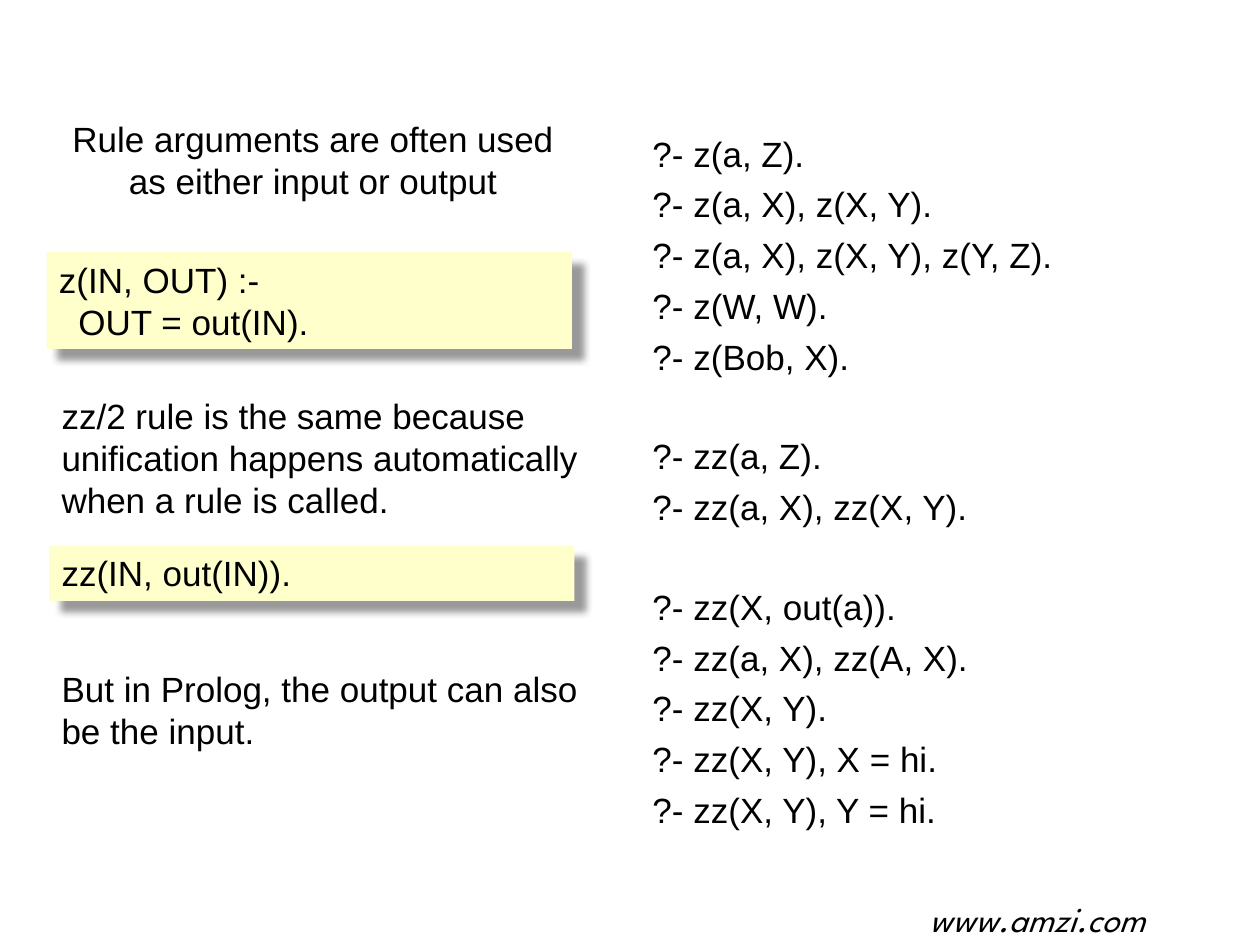
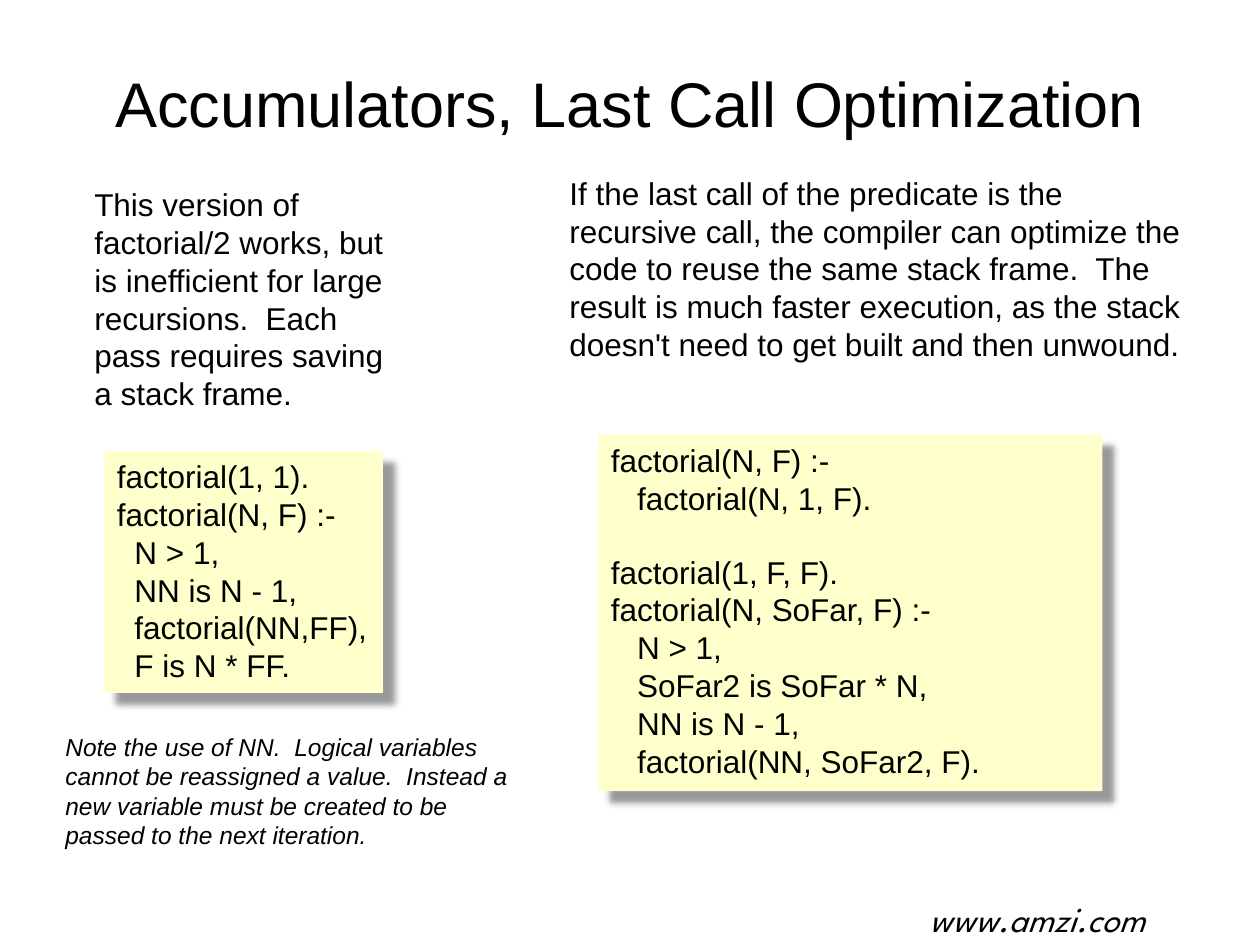
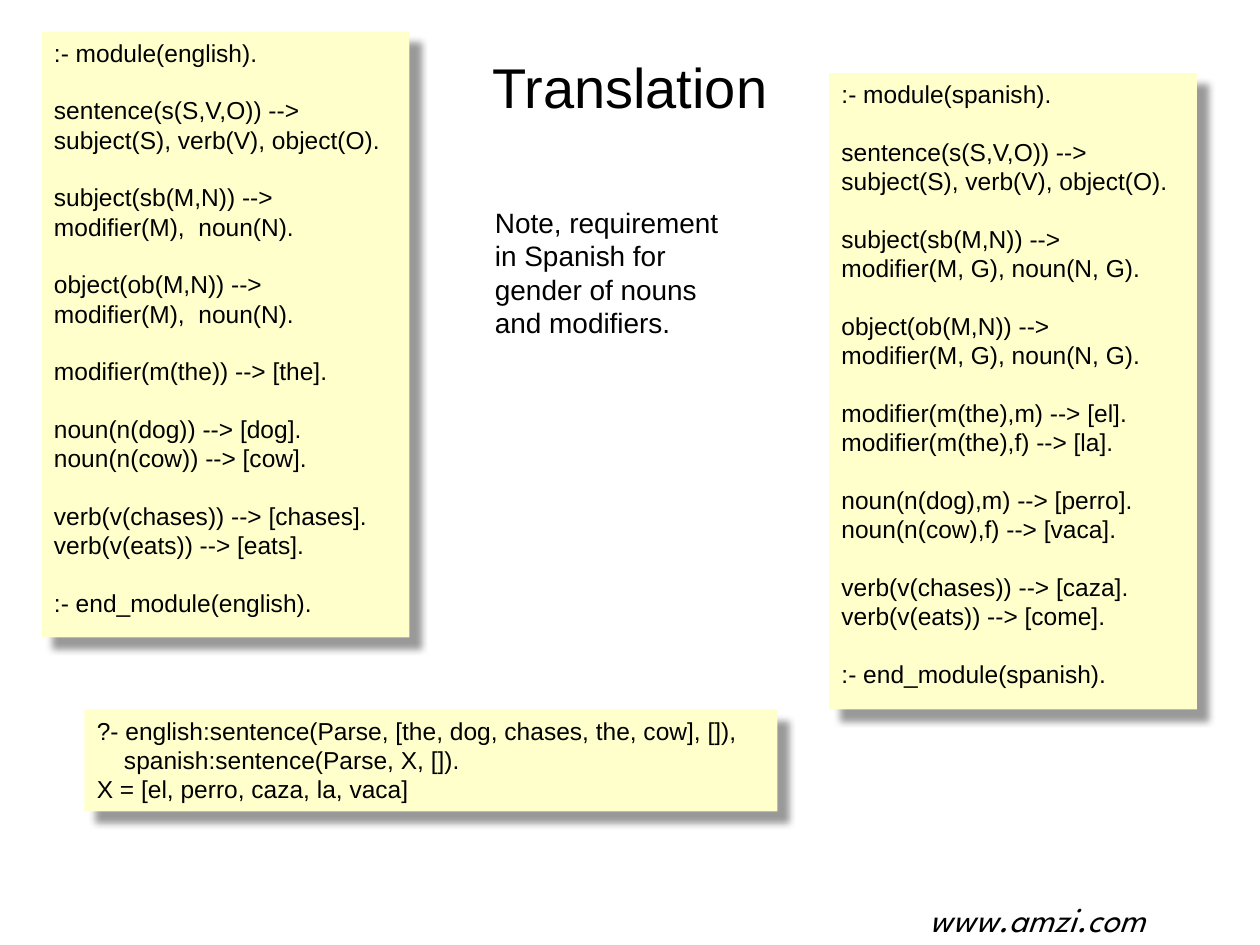
"""Build three slides on Prolog rules, accumulators and translation."""
from lxml import etree
from pptx import Presentation
from pptx.dml.color import RGBColor
from pptx.enum.shapes import MSO_SHAPE
from pptx.enum.text import MSO_ANCHOR, MSO_AUTO_SIZE, PP_ALIGN
from pptx.oxml.ns import qn
from pptx.util import Inches, Pt

RECTANGLE = MSO_SHAPE.RECTANGLE
TOP, MIDDLE = MSO_ANCHOR.TOP, MSO_ANCHOR.MIDDLE
LEFT, CENTER, RIGHT = PP_ALIGN.LEFT, PP_ALIGN.CENTER, PP_ALIGN.RIGHT
FIXED_SIZE = MSO_AUTO_SIZE.NONE

COLORS = {"text": "000000", "code": "FFFFCC", "shadow": "000000", "page": "FFFFFF"}
BODY_FONT, FOOTER_FONT = "Arial", "League Spartan"
LINE_HEIGHT = 1.15
TITLE_ONLY = 5

RULE_QUERIES = """?- z(a, Z).
?- z(a, X), z(X, Y).
?- z(a, X), z(X, Y), z(Y, Z).
?- z(W, W).
?- z(Bob, X).

?- zz(a, Z).
?- zz(a, X), zz(X, Y).

?- zz(X, out(a)).
?- zz(a, X), zz(A, X).
?- zz(X, Y).
?- zz(X, Y), X = hi.
?- zz(X, Y), Y = hi."""

PLAIN_FACTORIAL = """factorial(1, 1).
factorial(N, F) :-
  N > 1,
  NN is N - 1,
  factorial(NN,FF),
  F is N * FF."""

ACCUMULATOR_FACTORIAL = """factorial(N, F) :-
   factorial(N, 1, F).

factorial(1, F, F).
factorial(N, SoFar, F) :-
   N > 1,
   SoFar2 is SoFar * N,
   NN is N - 1,
   factorial(NN, SoFar2, F)."""

ENGLISH_MODULE = """:- module(english).

sentence(s(S,V,O)) -->
subject(S), verb(V), object(O).

subject(sb(M,N)) -->
modifier(M),  noun(N).

object(ob(M,N)) -->
modifier(M),  noun(N).

modifier(m(the)) --> [the].

noun(n(dog)) --> [dog].
noun(n(cow)) --> [cow].

verb(v(chases)) --> [chases].
verb(v(eats)) --> [eats].

:- end_module(english)."""

SPANISH_MODULE = """:- module(spanish).

sentence(s(S,V,O)) -->
subject(S), verb(V), object(O).

subject(sb(M,N)) -->
modifier(M, G), noun(N, G).

object(ob(M,N)) -->
modifier(M, G), noun(N, G).

modifier(m(the),m) --> [el].
modifier(m(the),f) --> [la].

noun(n(dog),m) --> [perro].
noun(n(cow),f) --> [vaca].

verb(v(chases)) --> [caza].
verb(v(eats)) --> [come].

:- end_module(spanish)."""

TRANSLATION_QUERY = """?- english:sentence(Parse, [the, dog, chases, the, cow], []),
    spanish:sentence(Parse, X, []).
X = [el, perro, caza, la, vaca]"""


def write_text(shape, text, size=20, font=BODY_FONT, italic=False,
               align=LEFT, anchor=TOP, line_gap=0):
    """Write one paragraph per line, turning empty lines into paragraph spacing."""
    frame = shape.text_frame
    frame.word_wrap = True
    frame.auto_size = FIXED_SIZE
    frame.vertical_anchor = anchor
    groups = [group.split("\n") for group in text.split("\n\n")]
    for group_index, lines in enumerate(groups):
        for line_index, line in enumerate(lines):
            first = group_index == line_index == 0
            para = frame.paragraphs[0] if first else frame.add_paragraph()
            para.alignment = align
            if first:
                para.space_before = Pt(0)
            elif line_index == 0:
                para.space_before = Pt(2 * line_gap + size * LINE_HEIGHT)
            else:
                para.space_before = Pt(line_gap)
            span = para.add_run()
            span.text = line
            span.font.name = font
            span.font.size = Pt(size)
            span.font.italic = italic
            span.font.color.rgb = RGBColor.from_string(COLORS["text"])


class SlideBuilder:
    """Hold the deck, its style and the current slide."""

    def __init__(self):
        """Open a blank deck of 10 by 7.5 inches."""
        self.deck = Presentation()
        self.deck.slide_width = Inches(10)
        self.deck.slide_height = Inches(7.5)
        background = self.deck.slide_master.background.fill
        background.solid()
        background.fore_color.rgb = RGBColor.from_string(COLORS["page"])
        self.page = None

    def add_page(self, title, place, size):
        """Start a slide with its title and the shared footer."""
        self.page = self.deck.slides.add_slide(self.deck.slide_layouts[TITLE_ONLY])
        box = self.page.shapes.title
        box.left, box.top, box.width, box.height = map(Inches, place)
        write_text(box, title, size=size, align=CENTER, anchor=MIDDLE)
        self.add_text("www.amzi.com", (6.17, 7.07, 3.02, 0.44),
                      font=FOOTER_FONT, italic=True, align=RIGHT)

    def add_text(self, text, place, **style):
        """Add a plain text box."""
        box = self.page.shapes.add_textbox(*map(Inches, place))
        write_text(box, text, **style)

    def add_code(self, code, place, **style):
        """Add a shaded code panel with a soft shadow."""
        box = self.page.shapes.add_shape(RECTANGLE, *map(Inches, place))
        box.fill.solid()
        box.fill.fore_color.rgb = RGBColor.from_string(COLORS["code"])
        box.line.fill.background()
        self.add_shadow(box)
        write_text(box, code, **style)

    def add_shadow(self, box):
        """Give a shape a shadow down and to the right."""
        box.shadow.inherit = False
        effects = box.element.spPr.find(qn("a:effectLst"))
        shadow = etree.SubElement(effects, qn("a:outerShdw"), blurRad=str(Pt(4)),
                                  dist=str(Pt(9)), dir="2700000", algn="tl",
                                  rotWithShape="0")
        color = etree.SubElement(shadow, qn("a:srgbClr"), val=COLORS["shadow"])
        etree.SubElement(color, qn("a:alpha"), val="40000")


def add_rule_arguments(builder):
    """Show rule arguments as input and output."""
    builder.add_page("Rule arguments are often used as either input or output",
                     (0.35, 0.58, 4.27, 1.37), 20)
    builder.add_text(RULE_QUERIES, (5.08, 1, 4.58, 5.55), line_gap=5)
    builder.add_code("z(IN, OUT) :-\n  OUT = out(IN).", (0.37, 2, 4.17, 0.77))
    builder.add_code("zz(IN, out(IN)).", (0.39, 4.33, 4.17, 0.44))
    builder.add_text("zz/2 rule is the same because unification happens "
                     "automatically when a rule is called.", (0.39, 3.08, 4.46, 1.11))
    builder.add_text("But in Prolog, the output can also be the input.",
                     (0.39, 5.25, 4.46, 0.77))


def add_accumulators(builder):
    """Compare plain recursion with an accumulator."""
    builder.add_page("Accumulators, Last Call Optimization", (0.5, 0.3, 9, 1.03), 36)
    builder.add_text("If the last call of the predicate is the recursive call, the "
                     "compiler can optimize the code to reuse the same stack frame.  "
                     "The result is much faster execution, as the stack doesn't need "
                     "to get built and then unwound.", (4.42, 1.33, 5.08, 1.67), size=18)
    builder.add_code(PLAIN_FACTORIAL, (0.83, 3.58, 2.21, 1.92), size=18)
    builder.add_text("This version of factorial/2 works, but is inefficient for large "
                     "recursions.  Each pass requires saving a stack frame.",
                     (0.65, 1.42, 2.58, 1.92), size=18)
    builder.add_text("Note the use of NN.  Logical variables cannot be reassigned a "
                     "value.  Instead a new variable must be created to be passed to "
                     "the next iteration.", (0.42, 5.76, 3.75, 1.04),
                     size=14, italic=True)
    builder.add_code(ACCUMULATOR_FACTORIAL, (4.75, 3.45, 4, 2.83), size=18)


def add_translation(builder):
    """Set the English and Spanish grammars side by side."""
    builder.add_page("Translation", (0.5, 0.17, 9, 1.03), 32)
    builder.add_code(ENGLISH_MODULE, (0.33, 0.25, 2.92, 4.81), size=14)
    builder.add_code(SPANISH_MODULE, (6.58, 0.58, 2.92, 5.05), size=14)
    builder.add_code(TRANSLATION_QUERY, (0.67, 5.63, 5.5, 0.81), size=14)
    builder.add_text("Note, requirement in Spanish for gender of nouns and modifiers.",
                     (3.83, 1.58, 2.17, 1.18), size=16)


def main():
    """Build every slide and save the deck."""
    builder = SlideBuilder()
    add_rule_arguments(builder)
    add_accumulators(builder)
    add_translation(builder)
    builder.deck.save("out.pptx")


if __name__ == "__main__":
    main()
